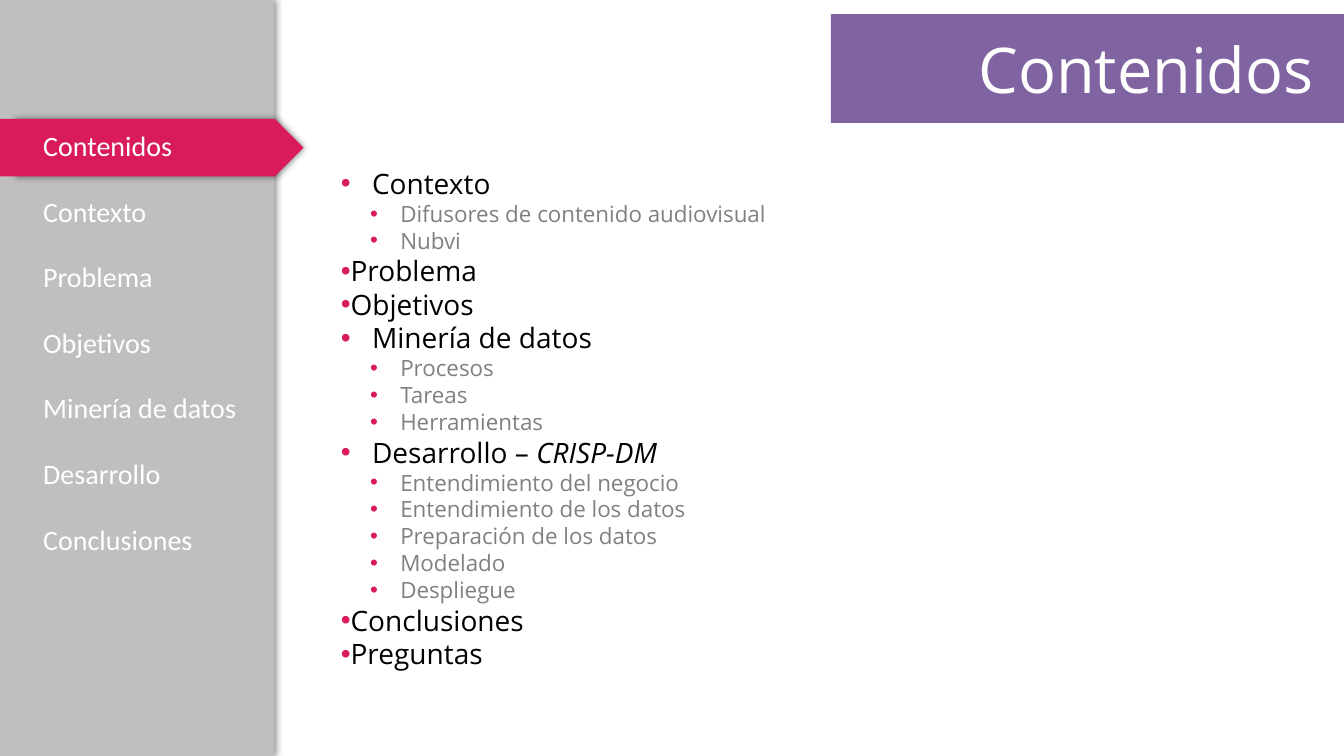
from lxml import etree
from pptx import Presentation
from pptx.dml.color import RGBColor
from pptx.enum.shapes import MSO_SHAPE
from pptx.enum.text import MSO_ANCHOR, MSO_AUTO_SIZE, PP_ALIGN
from pptx.oxml.ns import qn
from pptx.util import Inches, Pt

RECTANGLE, PENTAGON = MSO_SHAPE.RECTANGLE, MSO_SHAPE.PENTAGON
TOP, MIDDLE = MSO_ANCHOR.TOP, MSO_ANCHOR.MIDDLE
FIXED, GROW = MSO_AUTO_SIZE.NONE, MSO_AUTO_SIZE.SHAPE_TO_FIT_TEXT
LEFT, RIGHT = PP_ALIGN.LEFT, PP_ALIGN.RIGHT

WHITE = RGBColor(0xFF, 0xFF, 0xFF)
BLACK = RGBColor(0, 0, 0)
GREY = RGBColor(0x80, 0x80, 0x80)
SIDEBAR_GREY = RGBColor(0xBF, 0xBF, 0xBF)
PINK = RGBColor(0xD9, 0x1B, 0x5C)
PURPLE = RGBColor(0x80, 0x64, 0xA2)

TITLE = "Contenidos"
# Menu label and box width in inches
MENU = [
    ("Contenidos", 1.49),
    ("Contexto", 1.23),
    ("Problema", 1.3),
    ("Objetivos", 1.28),
    ("Minería de datos", 2.14),
    ("Desarrollo", 1.38),
    ("Conclusiones", 1.7),
]
# Heading, its italic ending, and its subtopics
TOPICS = [
    ("Contexto", "", ["Difusores de contenido audiovisual", "Nubvi"]),
    ("Problema", "", []),
    ("Objetivos", "", []),
    ("Minería de datos", "", ["Procesos", "Tareas", "Herramientas"]),
    ("Desarrollo – ", "CRISP-DM", [
        "Entendimiento del negocio", "Entendimiento de los datos",
        "Preparación de los datos", "Modelado", "Despliegue"]),
    ("Conclusiones", "", []),
    ("Preguntas", "", []),
]
MENU_LEFT, MENU_TOP, MENU_STEP = 0.33, 1.23, 0.65
# Left margin and first-line indent in inches
PARENT_INDENT, SINGLE_INDENT, SUB_INDENT = (0.31, -0.31), (0.09, -0.3), (0.59, -0.3)


def place(shape, left, top, width, height):
    shape.left, shape.top = Inches(left), Inches(top)
    shape.width, shape.height = Inches(width), Inches(height)


def set_font(paragraph, name, size, color):
    paragraph.font.name = name
    paragraph.font.size = Pt(size)
    paragraph.font.color.rgb = color


def add_panel(slide, kind, width, top, height, color, distance, scale):
    """Add a panel on the left edge with a soft shadow to its right."""
    panel = slide.shapes.add_shape(
        kind, 0, Inches(top), Inches(width), Inches(height))
    panel.fill.solid()
    panel.fill.fore_color.rgb = color
    panel.line.fill.background()
    panel.shadow.inherit = False
    effects = panel.element.spPr.find(qn("a:effectLst"))
    shadow = etree.SubElement(
        effects, qn("a:outerShdw"), blurRad=str(Pt(5)), dist=str(Pt(distance)),
        dir="0", sx=str(scale * 1000), algn="l", rotWithShape="0")
    tone = etree.SubElement(shadow, qn("a:srgbClr"), val=str(BLACK))
    etree.SubElement(tone, qn("a:alpha"), val="45000")


def add_bullet(paragraph, indents):
    margin, indent = indents
    properties = paragraph._p.get_or_add_pPr()
    properties.set("marL", str(Inches(margin)))
    properties.set("indent", str(Inches(indent)))
    color = etree.SubElement(properties, qn("a:buClr"))
    etree.SubElement(color, qn("a:srgbClr"), val=str(PINK))
    etree.SubElement(properties, qn("a:buFont"), typeface="Arial")
    etree.SubElement(properties, qn("a:buChar"), char="•")


def fill_title(title):
    place(title, 8.24, 0.14, 5.09, 1.08)
    title.fill.solid()
    title.fill.fore_color.rgb = PURPLE
    frame = title.text_frame
    frame.text = TITLE
    frame.auto_size = FIXED
    frame.vertical_anchor = MIDDLE
    frame.margin_left, frame.margin_right = Inches(0.1), Inches(0.3)
    frame.margin_top = frame.margin_bottom = Inches(0.16)
    frame.paragraphs[0].alignment = RIGHT
    set_font(frame.paragraphs[0], "Open Sans", 45, WHITE)


def fill_topics(body):
    place(body, 3.28, 1.6, 9.66, 5.25)
    frame = body.text_frame
    frame.auto_size = FIXED
    frame.vertical_anchor = TOP
    lines = []
    for heading, ending, subtopics in TOPICS:
        indents = PARENT_INDENT if subtopics else SINGLE_INDENT
        lines.append((heading, ending, 0, indents, 20, BLACK))
        lines += [(text, "", 1, SUB_INDENT, 16, GREY) for text in subtopics]
    for index, (text, ending, level, indents, size, color) in enumerate(lines):
        para = frame.add_paragraph() if index else frame.paragraphs[0]
        add_bullet(para, indents)
        para.level = level
        para.alignment = LEFT
        para.line_spacing = 1.0
        para.space_before = para.space_after = Pt(0)
        set_font(para, "Open Sans", size, color)
        para.add_run().text = text
        if ending:
            span = para.add_run()
            span.text = ending
            span.font.italic = True


def add_menu(slide):
    for index, (label, width) in enumerate(MENU):
        box = slide.shapes.add_textbox(
            Inches(MENU_LEFT), Inches(MENU_TOP + index * MENU_STEP),
            Inches(width), Inches(0.44))
        frame = box.text_frame
        frame.word_wrap = False
        frame.auto_size = GROW
        frame.text = label
        set_font(frame.paragraphs[0], "Calibri", 20, WHITE)


def main():
    deck = Presentation()
    deck.slide_width, deck.slide_height = Inches(13.33), Inches(7.5)
    slide = deck.slides.add_slide(deck.slide_layouts[1])
    fill_title(slide.shapes.title)
    fill_topics(slide.placeholders[1])
    add_panel(slide, RECTANGLE, 2.72, 0, 7.5, SIDEBAR_GREY, 1, 100)
    add_panel(slide, PENTAGON, 3.01, 1.18, 0.57, PINK, 11, 95)
    add_menu(slide)
    deck.save("out.pptx")


if __name__ == "__main__":
    main()
